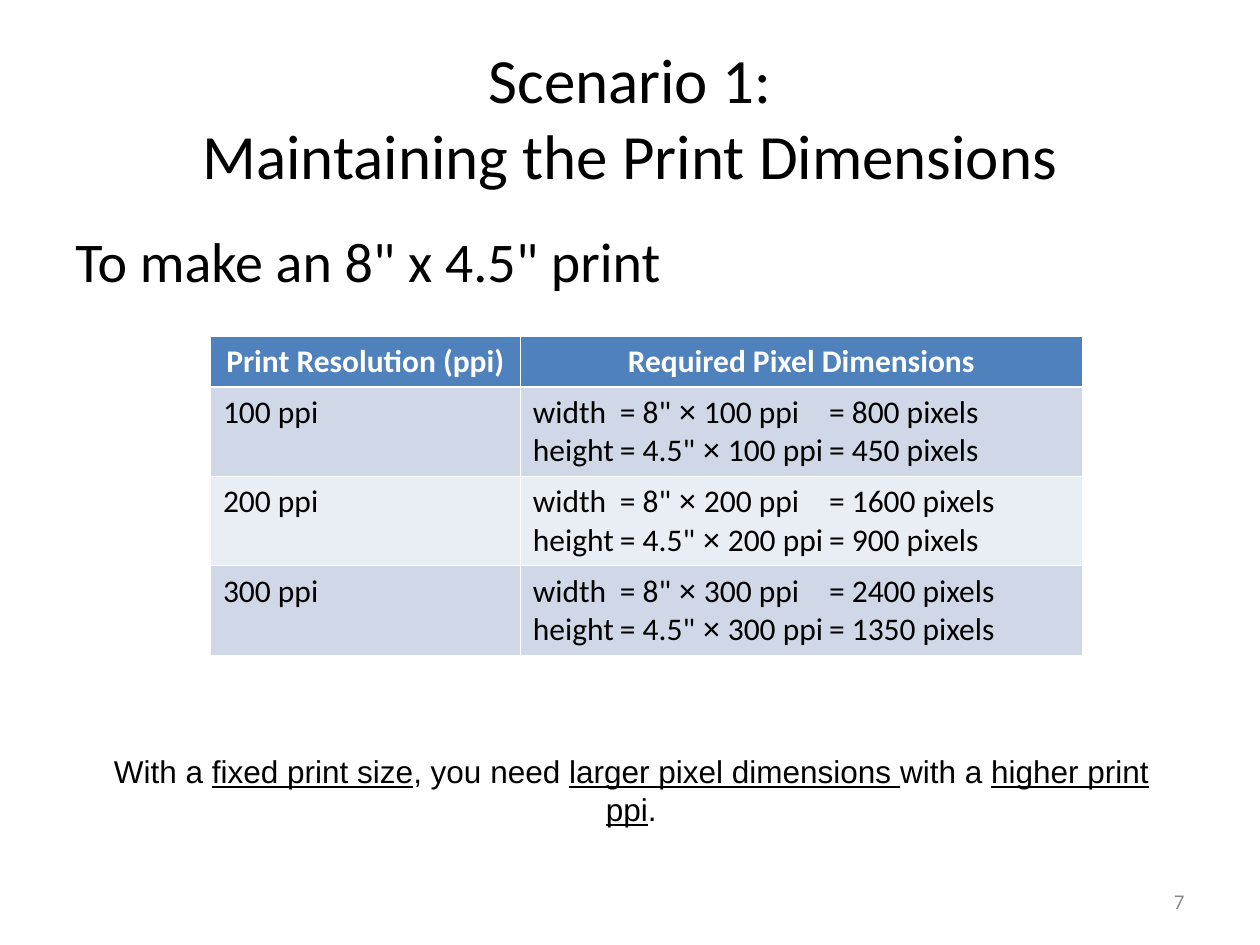
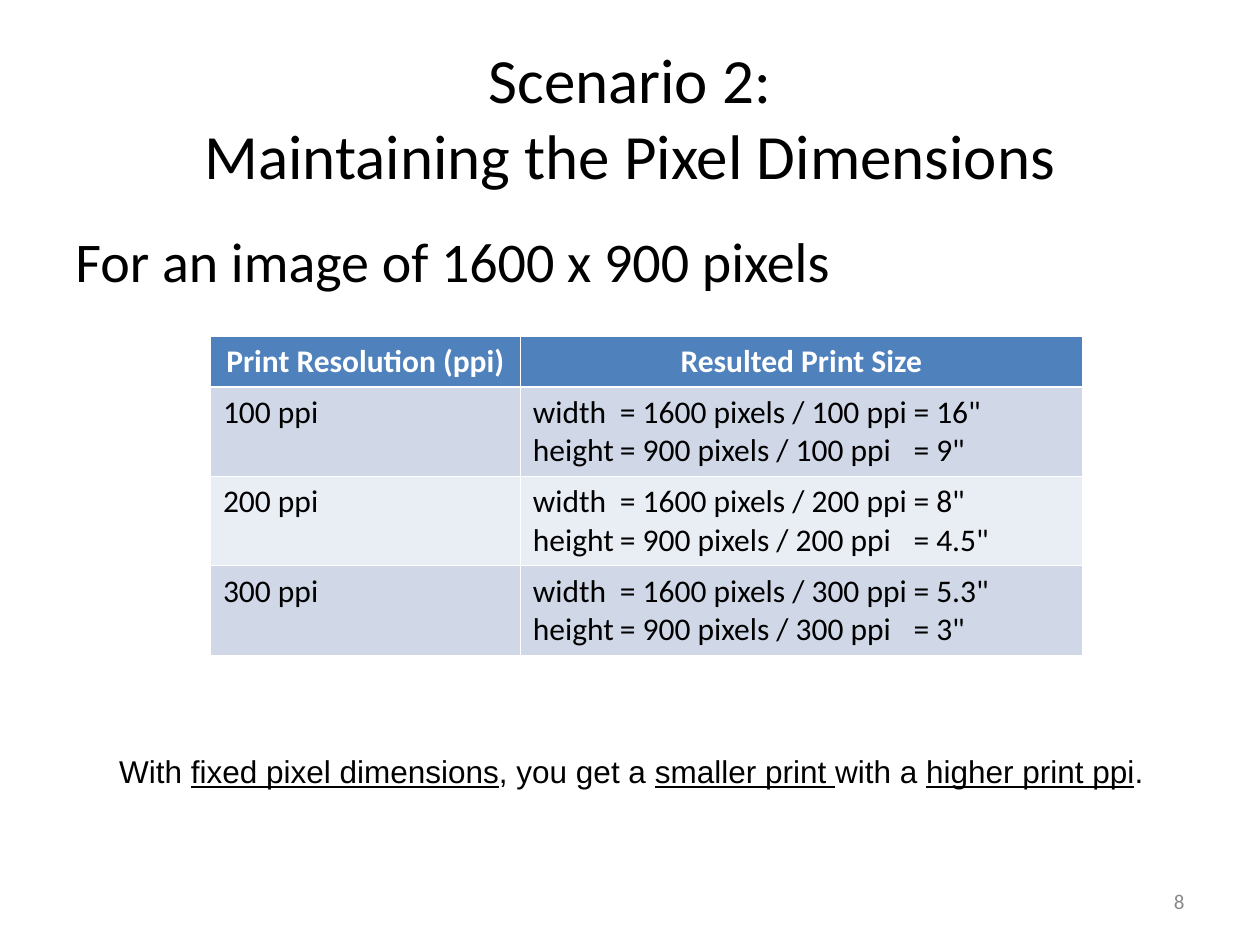
"""Builds two slides on how print resolution ties print size to pixel dimensions."""
from lxml.etree import SubElement
from pptx import Presentation
from pptx.dml.color import RGBColor
from pptx.enum.text import MSO_ANCHOR, MSO_AUTO_SIZE, PP_ALIGN
from pptx.oxml.ns import qn
from pptx.util import Inches, Pt

COLORS = {
    "text": "000000",
    "number": "898989",
    "header": "4F81BD",
    "odd_row": "D0D8E8",
    "even_row": "E9EDF4",
    "white": "FFFFFF",
}
TITLE = {"size": Pt(36), "name": "Calibri"}
LEAD = {"size": Pt(32), "name": "Calibri"}
CELL = {"size": Pt(18), "name": "Calibri", "bold": False}
HEADING = CELL | {"bold": True}
TAKEAWAY = {"size": Pt(18), "name": "Arial"}
NUMBER = {"size": Pt(12), "name": "Calibri"}
RESOLUTIONS = [100, 200, 300]
COLUMN_WIDTHS = [2.46, 4.46]
ROW_HEIGHTS = [0.4, 0.71, 0.71, 0.71]
THIN, THICK = Pt(0.45), Pt(1.47)

scenarios = [
    {
        "number": 7,
        "title": ["Scenario 1:", "Maintaining the Print Dimensions"],
        "lead": 'To make an 8" x 4.5" print',
        "result": "Required Pixel Dimensions",
        "sums": [
            [f'width\t= 8" × {ppi} ppi\t= {8 * ppi} pixels',
             f'height\t= 4.5" × {ppi} ppi\t= {4.5 * ppi:.0f} pixels']
            for ppi in RESOLUTIONS
        ],
        "equals_stops": [0.69, 2.35],
        "takeaway": "With a |fixed print size|, you need |larger pixel dimensions "
                    "|with a |higher print ppi|.",
        "takeaway_width": 8.88,
    },
    {
        "number": 8,
        "title": ["Scenario 2:", "Maintaining the Pixel Dimensions"],
        "lead": "For an image of 1600 x 900 pixels",
        "result": "Resulted Print Size",
        "sums": [
            [f'width\t= 1600 pixels / {ppi} ppi\t= {round(1600 / ppi, 1):g}"',
             f'height\t= 900 pixels / {ppi} ppi\t= {round(900 / ppi, 1):g}"']
            for ppi in RESOLUTIONS
        ],
        "equals_stops": [0.69, 3.02],
        "takeaway": "With |fixed pixel dimensions|, you get a |smaller print "
                    "|with a |higher print ppi|.",
        "takeaway_width": 8.33,
    },
]


def write(paragraph, text, style, color="text", align=PP_ALIGN.LEFT):
    paragraph.alignment = align
    for index, phrase in enumerate(text.split("|")):
        run = paragraph.add_run()
        run.text = phrase
        for attribute, value in (style | {"underline": index % 2 == 1}).items():
            setattr(run.font, attribute, value)
        run.font.color.rgb = RGBColor.from_string(COLORS[color])


def add_text_frame(slide, left, top, width, height, anchor=MSO_ANCHOR.TOP):
    box = slide.shapes.add_textbox(Inches(left), Inches(top), Inches(width), Inches(height))
    box.text_frame.word_wrap = True
    box.text_frame.vertical_anchor = anchor
    return box.text_frame


prs = Presentation()
prs.slide_width, prs.slide_height = Inches(10), Inches(7.5)

for scenario in scenarios:
    slide = prs.slides.add_slide(prs.slide_layouts[6])

    title = add_text_frame(slide, 0.5, 0.3, 9, 1.25, MSO_ANCHOR.MIDDLE).paragraphs[0]
    name, topic = scenario["title"]
    write(title, name, TITLE, align=PP_ALIGN.CENTER)
    title.add_line_break()
    write(title, topic, TITLE, align=PP_ALIGN.CENTER)

    lead = add_text_frame(slide, 0.5, 1.75, 9, 4.95)
    write(lead.paragraphs[0], scenario["lead"], LEAD)

    number = add_text_frame(slide, 7.17, 6.95, 2.33, 0.4, MSO_ANCHOR.MIDDLE)
    write(number.paragraphs[0], str(scenario["number"]), NUMBER, "number", PP_ALIGN.RIGHT)

    table = slide.shapes.add_table(
        len(ROW_HEIGHTS), len(COLUMN_WIDTHS), Inches(1.67), Inches(2.67),
        Inches(sum(COLUMN_WIDTHS)), Inches(sum(ROW_HEIGHTS))).table
    for column, width in zip(table.columns, COLUMN_WIDTHS):
        column.width = Inches(width)
    for row, height in zip(table.rows, ROW_HEIGHTS):
        row.height = Inches(height)

    rows = [[["Print Resolution (ppi)"], [scenario["result"]]]]
    rows += [[[f"{ppi} ppi"], sums] for ppi, sums in zip(RESOLUTIONS, scenario["sums"])]
    for row_index, row in enumerate(rows):
        is_header = row_index == 0
        fill = "header" if is_header else "odd_row" if row_index % 2 else "even_row"
        for column_index, lines in enumerate(row):
            cell = table.cell(row_index, column_index)
            edges = {"lnL": THIN, "lnR": THIN,
                     "lnT": THICK if row_index == 1 else THIN,
                     "lnB": THICK if is_header else THIN}
            properties = cell._tc.get_or_add_tcPr()
            for edge, thickness in edges.items():
                border = SubElement(properties, qn(f"a:{edge}"), w=str(int(thickness)))
                paint = SubElement(border, qn("a:solidFill"))
                SubElement(paint, qn("a:srgbClr"), val=COLORS["white"])
            cell.fill.solid()
            cell.fill.fore_color.rgb = RGBColor.from_string(COLORS[fill])

            for line_index, line in enumerate(lines):
                frame = cell.text_frame
                paragraph = frame.add_paragraph() if line_index else frame.paragraphs[0]
                if is_header:
                    write(paragraph, line, HEADING, "white", PP_ALIGN.CENTER)
                    continue
                if "\t" in line:
                    stops = SubElement(paragraph._p.get_or_add_pPr(), qn("a:tabLst"))
                    for stop in scenario["equals_stops"]:
                        SubElement(stops, qn("a:tab"), pos=str(Inches(stop)), algn="l")
                before, times, after = line.partition("×")
                write(paragraph, before, CELL)
                if times:
                    write(paragraph, times, CELL | {"name": "Arial"})
                    write(paragraph, after, CELL)

    width = scenario["takeaway_width"]
    takeaway = add_text_frame(slide, 5.01 - width / 2, 5.92, width, 0.4)
    takeaway.word_wrap = False
    takeaway.auto_size = MSO_AUTO_SIZE.SHAPE_TO_FIT_TEXT
    write(takeaway.paragraphs[0], scenario["takeaway"], TAKEAWAY, align=PP_ALIGN.CENTER)

prs.save("out.pptx")
